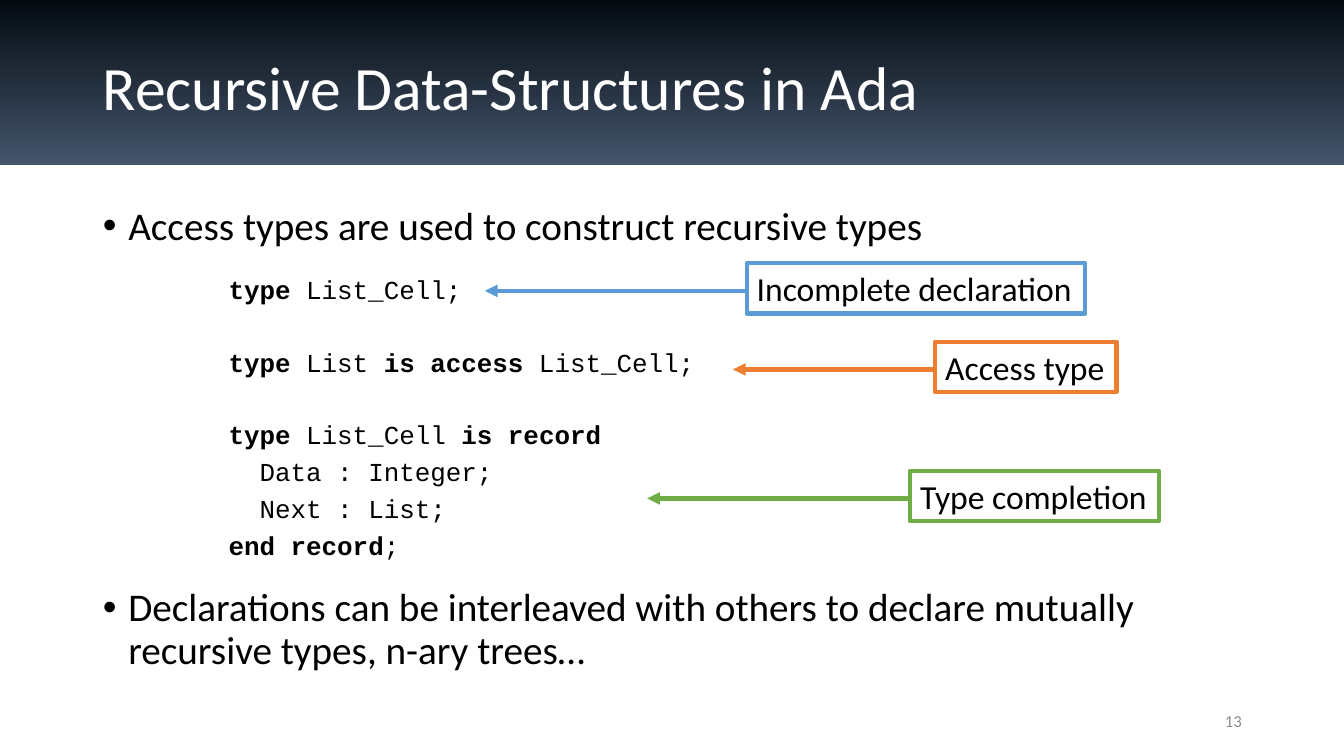
from pptx import Presentation
from pptx.dml.color import RGBColor as RGB
from pptx.enum.shapes import MSO_CONNECTOR as LINE, MSO_SHAPE as SHAPE
from pptx.enum.text import MSO_ANCHOR as ANCHOR, MSO_AUTO_SIZE as AUTO, PP_ALIGN as ALIGN
from pptx.oxml.ns import qn
from pptx.util import Cm, Pt
from lxml.etree import SubElement as Sub

HUES = {
    "night": "040B11", "slate": "44546A", "white": "FFFFFF", "black": "000000",
    "gray": "8C8C8C", "blue": "5B9BD5", "orange": "ED7D31", "green": "70AD47",
}

# Space before in points, then the text of each bullet
POINTS = [
    (0, "Access types are used to construct recursive types"),
    (242, "Declarations can be interleaved with others to declare mutually "
          "recursive types, n-ary trees…"),
]

# Space before in points, then code whose bold and plain parts alternate at each bar
NEAR, FAR = 10.8, 36.3
CODE = [
    (0, "type |List_Cell;"),
    (FAR, "type |List |is access |List_Cell;"),
    (FAR, "type |List_Cell |is record"),
    (NEAR, "|  Data : Integer;"),
    (NEAR, "|  Next : List;"),
    (NEAR, "end record|;"),
]

# Text, colour, box and arrow tip of each label
LABELS = [
    ("Incomplete declaration", "blue", (18.82, 6.63, 8.53, 1.27), 12.22),
    ("Access type", "orange", (23.57, 8.61, 4.57, 1.27), 18.47),
    ("Type completion", "green", (22.94, 11.86, 6.27, 1.27), 16.31),
]


def hue(name):
    return RGB.from_string(HUES[name])


def place(shape, box):
    shape.left, shape.top, shape.width, shape.height = map(Cm, box)


def style(font, size, color="black", face="Calibri", bold=False):
    font.name, font.size, font.bold = face, Pt(size), bold
    font.color.rgb = hue(color)


def add_head(slide, box):
    """Gradient band with the title on it."""
    left, top, width, height = box
    band = slide.shapes.add_shape(SHAPE.RECTANGLE, *map(Cm, box))
    band.shadow.inherit = False
    band.line.fill.background()
    band.fill.gradient()
    band.fill.gradient_angle = 270
    for stop, spot, name in zip(band.fill.gradient_stops, (0, 1), ("night", "slate")):
        stop.position, stop.color.rgb = spot, hue(name)

    title = slide.shapes.title
    title.element.addprevious(band.element)
    place(title, (left + 2.34, top + 1.02, width - 4.66, 2.51))
    frame = title.text_frame
    frame.text = "Recursive Data-Structures in Ada"
    frame.vertical_anchor = ANCHOR.MIDDLE
    frame.auto_size = AUTO.NONE
    para = frame.paragraphs[0]
    para.alignment, para.line_spacing = ALIGN.LEFT, 0.9
    style(para.runs[0].font, 44, "white")


def add_body(slide, box):
    """Bullets, with room for the code between them."""
    body = slide.placeholders[1]
    place(body, box)
    frame = body.text_frame
    frame.text = "\n".join(text for _, text in POINTS)
    frame.auto_size = AUTO.NONE
    for para, (gap, _) in zip(frame.paragraphs, POINTS):
        para.line_spacing, para.space_before = 0.9, Pt(gap)
        props = para._p.get_or_add_pPr()
        props.set("marL", str(Cm(0.64)))
        props.set("indent", str(-Cm(0.64)))
        Sub(props, qn("a:buFont")).set("typeface", "Arial")
        Sub(props, qn("a:buChar")).set("char", "•")
        style(para.runs[0].font, 28)


def add_code(slide, box):
    """Code listing with bold keywords."""
    frame = slide.shapes.add_textbox(*map(Cm, box)).text_frame
    frame.word_wrap = True
    frame.margin_top = Cm(0.25)
    for i, (gap, text) in enumerate(CODE):
        para = frame.add_paragraph() if i else frame.paragraphs[0]
        para.line_spacing, para.space_before = 0.7, Pt(gap)
        for j, part in enumerate(text.split("|")):
            if part:
                run = para.add_run()
                run.text = part
                style(run.font, 18.5, face="Courier New", bold=j % 2 == 0)


def add_label(slide, text, color, box, tip):
    """Framed label with an arrow to the code on its left."""
    left, top = box[:2]
    label = slide.shapes.add_shape(SHAPE.RECTANGLE, *map(Cm, box))
    label.shadow.inherit = False
    label.fill.solid()
    label.fill.fore_color.rgb = hue("white")
    frame = label.text_frame
    frame.text = text
    frame.word_wrap = False
    frame.auto_size = AUTO.SHAPE_TO_FIT_TEXT
    frame.paragraphs[0].alignment = ALIGN.LEFT
    style(frame.paragraphs[0].runs[0].font, 24)

    row = top + 0.7
    arrow = slide.shapes.add_connector(LINE.STRAIGHT, *map(Cm, (left, row, tip, row)))
    for line in (label.line, arrow.line):
        line.color.rgb, line.width = hue(color), Pt(3)
    Sub(arrow.line._get_or_add_ln(), qn("a:tailEnd")).set("type", "triangle")
    Sub(arrow.element.spPr, qn("a:effectLst"))


def add_page(slide, box):
    """Slide number."""
    frame = slide.shapes.add_textbox(*map(Cm, box)).text_frame
    frame.word_wrap = True
    frame.vertical_anchor = ANCHOR.MIDDLE
    frame.text = "13"
    para = frame.paragraphs[0]
    para.alignment = ALIGN.RIGHT
    style(para.runs[0].font, 12, "gray")


def main():
    deck = Presentation()
    deck.slide_width, deck.slide_height = Cm(33.87), Cm(19.05)
    slide = deck.slides.add_slide(deck.slide_layouts[1])
    add_head(slide, (0, 0, 33.87, 4.17))
    add_body(slide, (2.34, 5.08, 29.21, 12.09))
    add_page(slide, (23.93, 17.65, 7.62, 1.02))
    add_code(slide, (5.51, 6.86, 26.26, 7.65))
    for label in LABELS:
        add_label(slide, *label)
    deck.save("out.pptx")


if __name__ == "__main__":
    main()
